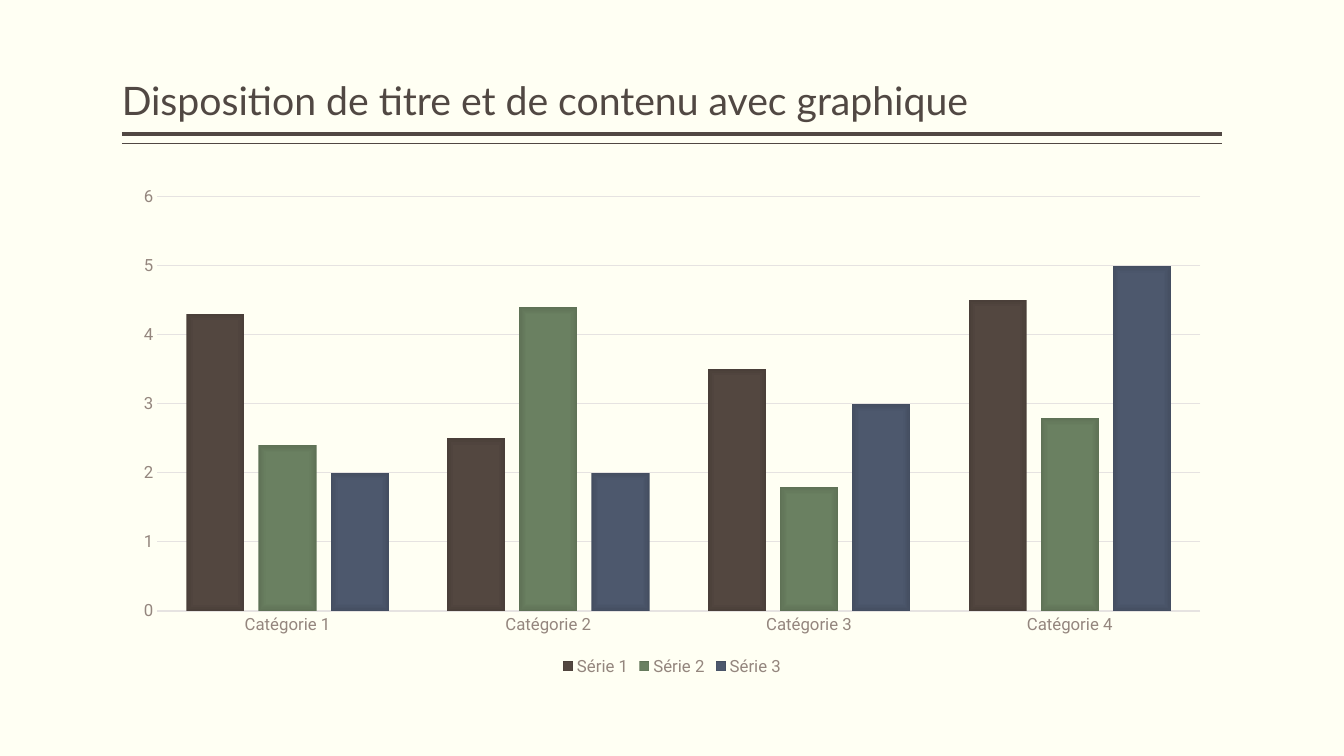
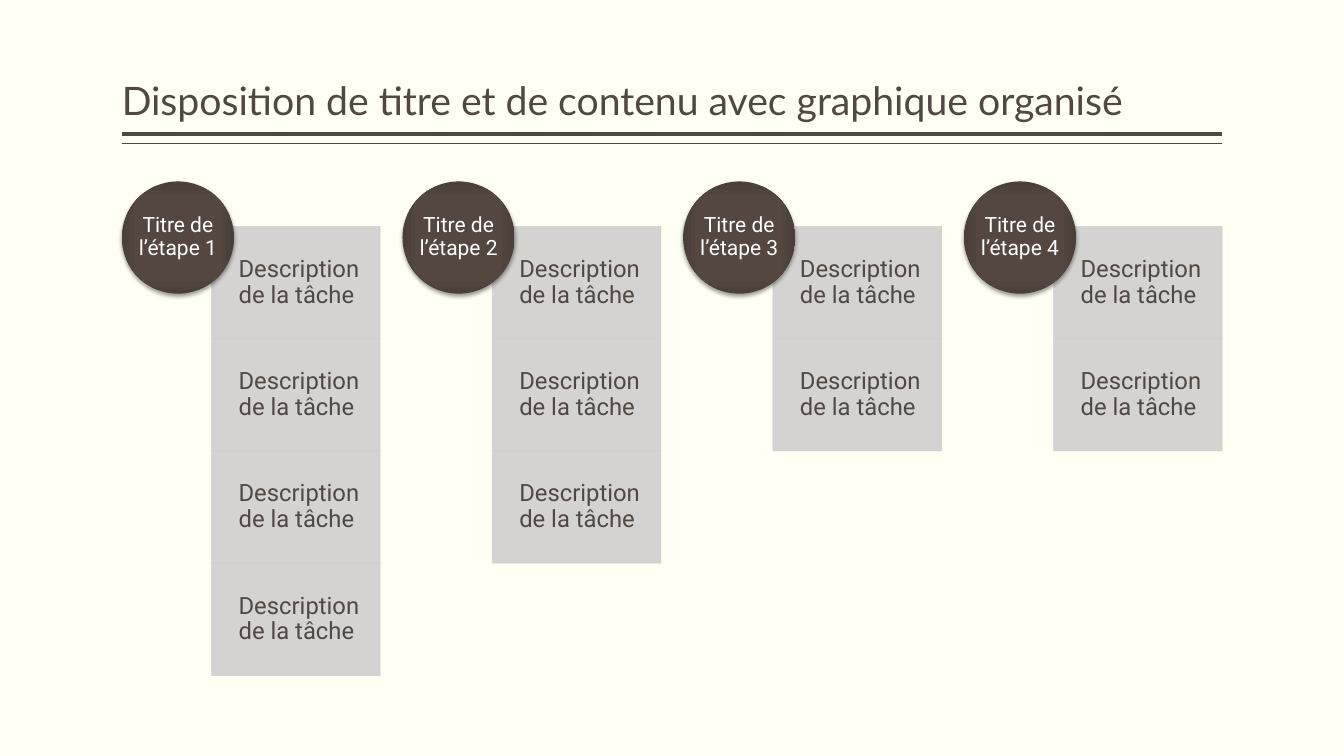
from lxml import etree
from pptx import Presentation
from pptx.chart import data as chart_data
from pptx.dml import color
from pptx.enum import chart as chart_enum
from pptx.enum import shapes, text
from pptx.oxml import ns
from pptx.util import Pt

# Shared palette and frame
PAPER, INK, MUTED, GRID = "FFFFF3", "514843", "94867E", "E6E3E1"
CARD, WHITE = "D0CFCF", "FFFFFF"
BROWN = ("544740", "534740", "4A3F39")
GREEN = ("6B8162", "6A8061", "5F7256")
BLUE = ("4E596E", "4D586D", "444E61")
HEADING_FONT, BODY_FONT = "Lato", "Roboto"
LEFT, WIDTH = 87, 786


def rgb(hex_value):
    return color.RGBColor.from_string(hex_value)


def child(parent, tag, **attributes):
    element = etree.SubElement(parent, ns.qn(tag))
    for name, value in attributes.items():
        element.set(name, str(value))
    return element


def paint_gradient(fill, properties, stops):
    """Rectangular gradient running from the centre to the edges."""
    fill.solid()
    solid = properties.find(ns.qn("a:solidFill"))
    gradient = etree.Element(ns.qn("a:gradFill"), rotWithShape="1")
    stop_list = child(gradient, "a:gsLst")
    for position, hex_value in zip((0, 71000, 100000), stops):
        stop = child(stop_list, "a:gs", pos=position)
        child(stop, "a:srgbClr", val=hex_value)
    centre = child(gradient, "a:path", path="rect")
    child(centre, "a:fillToRect", l=50000, t=50000, r=50000, b=50000)
    properties.replace(solid, gradient)


class Deck:
    def __init__(self):
        self.prs = Presentation()
        self.prs.slide_width, self.prs.slide_height = Pt(960), Pt(540)
        background = self.prs.slide_master.background.fill
        background.solid()
        background.fore_color.rgb = rgb(PAPER)
        self.slide = None

    def new_slide(self, title):
        self.slide = self.prs.slides.add_slide(self.prs.slide_layouts[6])
        self.rule(95.7, 3)
        self.rule(102.5, 1)
        heading = self.slide.shapes.add_textbox(Pt(LEFT), Pt(6), Pt(WIDTH), Pt(86))
        self.put_text(heading, title, 28, INK, HEADING_FONT, (0, 3.6, 0, 3.6),
                      anchor=text.MSO_ANCHOR.BOTTOM)

    def rule(self, y, weight):
        line = self.slide.shapes.add_connector(
            shapes.MSO_CONNECTOR.STRAIGHT, Pt(LEFT), Pt(y), Pt(LEFT + WIDTH), Pt(y))
        line.line.color.rgb = rgb(INK)
        line.line.width = Pt(weight)
        child(line._element.spPr, "a:effectLst")

    def put_text(self, shape, words, size, hex_value, font=BODY_FONT,
                 insets=(0, 0, 0, 0), anchor=text.MSO_ANCHOR.MIDDLE,
                 align=text.PP_ALIGN.LEFT):
        frame = shape.text_frame
        frame.word_wrap = True
        frame.vertical_anchor = anchor
        (frame.margin_left, frame.margin_top,
         frame.margin_right, frame.margin_bottom) = map(Pt, insets)
        paragraph = frame.paragraphs[0]
        paragraph.alignment = align
        paragraph.line_spacing = 0.9
        run = paragraph.add_run()
        run.text = words
        run.font.name, run.font.size = font, Pt(size)
        run.font.color.rgb = rgb(hex_value)

    def task_card(self, x, y, width, height, words):
        card = self.slide.shapes.add_shape(
            shapes.MSO_SHAPE.RECTANGLE, Pt(x), Pt(y), Pt(width), Pt(height))
        card.shadow.inherit = False
        card.line.width = Pt(0.5)
        for fill in (card.fill, card.line.fill):
            fill.solid()
            fill.fore_color.rgb = rgb(CARD)
        for tint in card._element.spPr.iter(ns.qn("a:srgbClr")):
            child(tint, "a:alpha", val=90000)
        self.put_text(card, words, 17, INK, insets=(0.16 * width, 9.4, 9.4, 9.4))

    def step_circle(self, x, y, size, words):
        circle = self.slide.shapes.add_shape(
            shapes.MSO_SHAPE.OVAL, Pt(x), Pt(y), Pt(size), Pt(size))
        circle.line.fill.background()
        circle.shadow.inherit = False
        properties = circle._element.spPr
        paint_gradient(circle.fill, properties, BROWN)
        shadow = child(properties.find(ns.qn("a:effectLst")), "a:outerShdw",
                       blurRad=Pt(3.1), dist=Pt(2), dir=5400000, rotWithShape=0)
        child(child(shadow, "a:srgbClr", val="000000"), "a:alpha", val=38000)
        self.put_text(circle, words, 15, WHITE, align=text.PP_ALIGN.CENTER)

    def column_chart(self, x, y, width, height, categories, series):
        """series: (name, values, gradient stops) for each group of columns."""
        values = chart_data.CategoryChartData()
        values.categories = categories
        for name, numbers, _ in series:
            values.add_series(name, numbers)
        chart = self.slide.shapes.add_chart(
            chart_enum.XL_CHART_TYPE.COLUMN_CLUSTERED,
            Pt(x), Pt(y), Pt(width), Pt(height), values).chart
        chart.has_title = False
        chart.font.name, chart.font.size = BODY_FONT, Pt(12)
        chart.font.color.rgb = rgb(MUTED)

        # Columns
        plot = chart.plots[0]
        plot.gap_width, plot.overlap = 100, -24
        plot.vary_by_categories = False
        for columns, (_, _, stops) in zip(plot.series, series):
            columns.format.line.fill.background()
            paint_gradient(columns.format.fill,
                           columns._element.get_or_add_spPr(), stops)

        # Axes and grid
        for axis in (chart.category_axis, chart.value_axis):
            axis.major_tick_mark = chart_enum.XL_TICK_MARK.NONE
            axis.minor_tick_mark = chart_enum.XL_TICK_MARK.NONE
        baseline = chart.category_axis.format.line
        baseline.color.rgb, baseline.width = rgb(GRID), Pt(1)
        scale = chart.value_axis
        scale.minimum_scale, scale.maximum_scale, scale.major_unit = 0, 6, 1
        scale.format.line.fill.background()
        grid = scale.major_gridlines.format.line
        grid.color.rgb, grid.width = rgb(GRID), Pt(0.75)

        # Legend
        chart.has_legend = True
        chart.legend.position = chart_enum.XL_LEGEND_POSITION.BOTTOM
        chart.legend.include_in_layout = False


def chart_slide(deck):
    deck.new_slide("Disposition de titre et de contenu avec graphique")
    deck.column_chart(
        LEFT, 126, WIDTH, 360,
        [f"Catégorie {number}" for number in range(1, 5)],
        [("Série 1", (4.3, 2.5, 3.5, 4.5), BROWN),
         ("Série 2", (2.4, 4.4, 1.8, 2.8), GREEN),
         ("Série 3", (2, 2, 3, 5), BLUE)])


def steps_slide(deck):
    deck.new_slide("Disposition de titre et de contenu avec graphique organisé")
    top, size, card_width, task_counts = 129.6, 80.2, 120.4, (4, 3, 2, 2)
    card_offset = 0.8 * size
    pitch = (WIDTH - card_offset - card_width) / (len(task_counts) - 1)
    for step, task_count in enumerate(task_counts):
        x = LEFT + step * pitch
        for task in range(task_count):
            deck.task_card(x + card_offset, top + (0.4 + task) * size,
                           card_width, size, "Description de la tâche")
        deck.step_circle(x, top, size, f"Titre de l’étape {step + 1}")


def main():
    deck = Deck()
    chart_slide(deck)
    steps_slide(deck)
    deck.prs.save("out.pptx")


if __name__ == "__main__":
    main()
